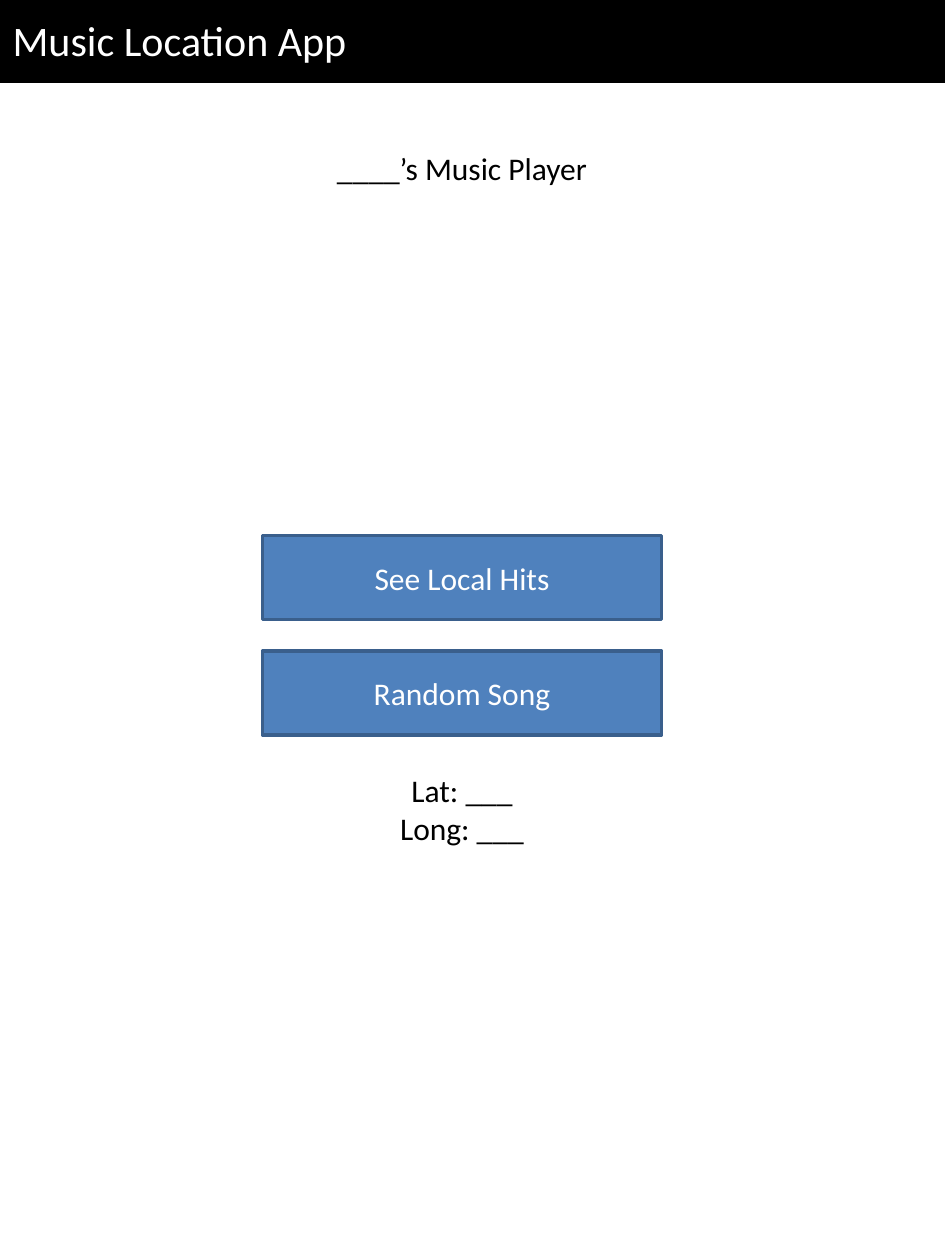
import pptx
import pptx.dml.color
import pptx.enum.shapes
import pptx.enum.text
import pptx.util

BLACK = pptx.dml.color.RGBColor(0x00, 0x00, 0x00)
WHITE = pptx.dml.color.RGBColor(0xFF, 0xFF, 0xFF)
BLUE = pptx.dml.color.RGBColor(0x4F, 0x81, 0xBD)
DARK_BLUE = pptx.dml.color.RGBColor(0x3A, 0x5F, 0x8C)

COLUMNS, ROWS = 90, 120
CONTENT_LEFT, CONTENT_WIDTH, BAND_HEIGHT = 25, 38, 8
GREETING_ROW, FIRST_BUTTON_ROW, ROW_STEP = 12, 51, 11


class AppScreen:
    font_name = "Calibri"
    title_size = pptx.util.Pt(24)
    body_size = pptx.util.Pt(18)
    line_width = pptx.util.Pt(2)

    def __init__(self, presentation):
        self.column = presentation.slide_width / COLUMNS
        self.row = presentation.slide_height / ROWS
        self.slide = presentation.slides.add_slide(presentation.slide_layouts[5])

    def box(self, row, left=CONTENT_LEFT, width=CONTENT_WIDTH):
        return (round(left * self.column), round(row * self.row),
                round(width * self.column), round(BAND_HEIGHT * self.row))

    def paint(self, shape, fill, line):
        shape.fill.solid()
        shape.fill.fore_color.rgb = fill
        shape.line.color.rgb = line
        shape.line.width = self.line_width

    def set_text(self, shape, text, size, color, alignment=pptx.enum.text.PP_ALIGN.CENTER):
        frame = shape.text_frame
        frame.text = text
        frame.word_wrap = True
        frame.auto_size = pptx.enum.text.MSO_AUTO_SIZE.NONE
        frame.vertical_anchor = pptx.enum.text.MSO_ANCHOR.MIDDLE
        for paragraph in frame.paragraphs:
            paragraph.alignment = alignment
            paragraph.font.name = self.font_name
            paragraph.font.size = size
            paragraph.font.color.rgb = color

    def title(self, text):
        shape = self.slide.shapes.title
        shape.left, shape.top, shape.width, shape.height = self.box(-0.25, 0, COLUMNS)
        self.paint(shape, BLACK, BLACK)
        self.set_text(shape, text, self.title_size, WHITE, pptx.enum.text.PP_ALIGN.LEFT)

    def label(self, text, row):
        shape = self.slide.shapes.add_textbox(*self.box(row))
        self.set_text(shape, text, self.body_size, BLACK)

    def button(self, text, row):
        shape = self.slide.shapes.add_shape(
            pptx.enum.shapes.MSO_SHAPE.RECTANGLE, *self.box(row))
        shape.shadow.inherit = False
        self.paint(shape, BLUE, DARK_BLUE)
        self.set_text(shape, text, self.body_size, WHITE)


def main():
    presentation = pptx.Presentation()
    presentation.slide_width = pptx.util.Inches(7.5)
    presentation.slide_height = pptx.util.Inches(10)

    screen = AppScreen(presentation)
    screen.title("Music Location App")
    screen.label("____’s Music Player", GREETING_ROW)
    buttons = ["See Local Hits", "Random Song"]
    for index, text in enumerate(buttons):
        screen.button(text, FIRST_BUTTON_ROW + index * ROW_STEP)
    screen.label("Lat: ___\nLong: ___", FIRST_BUTTON_ROW + len(buttons) * ROW_STEP)

    presentation.save("out.pptx")


if __name__ == "__main__":
    main()
